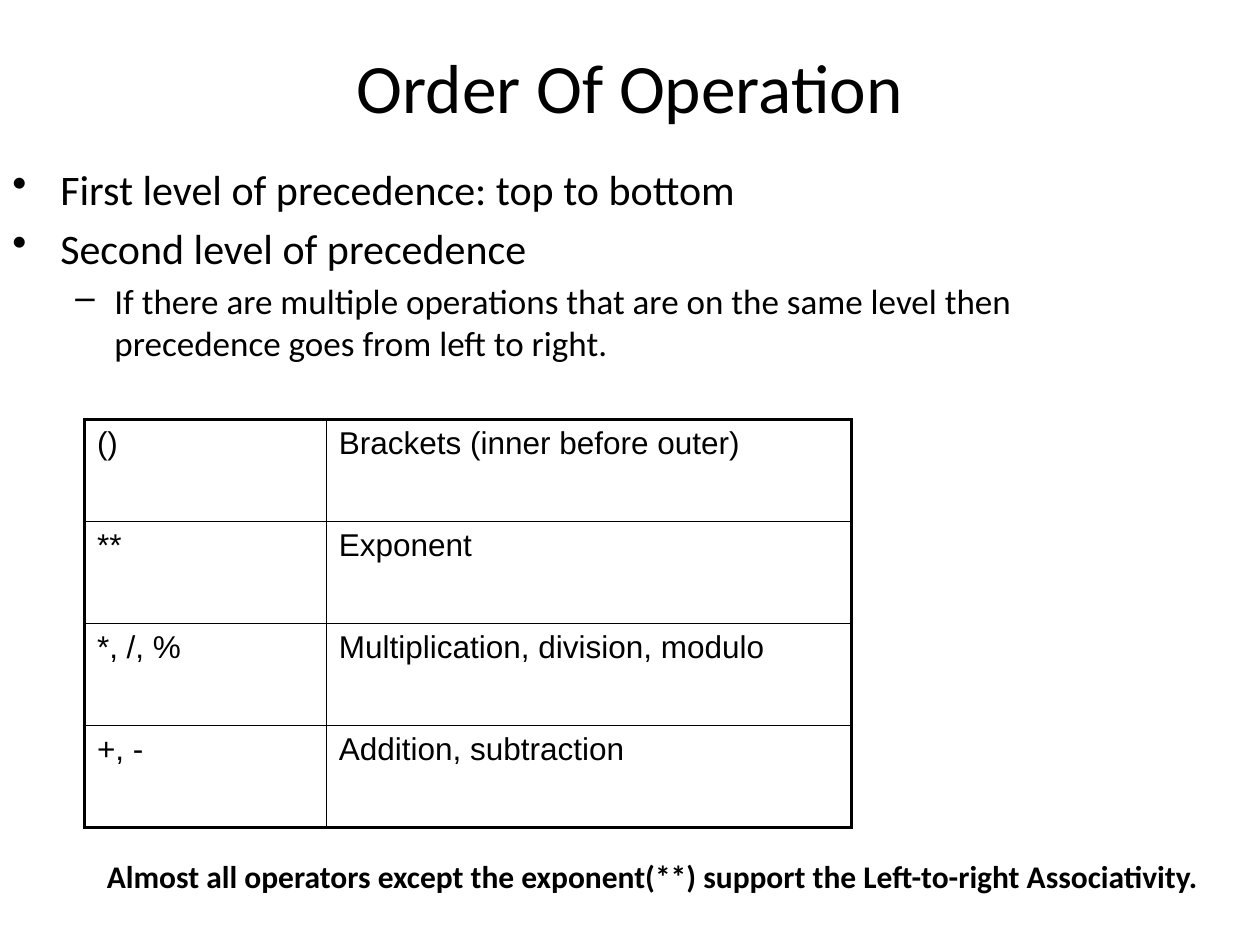
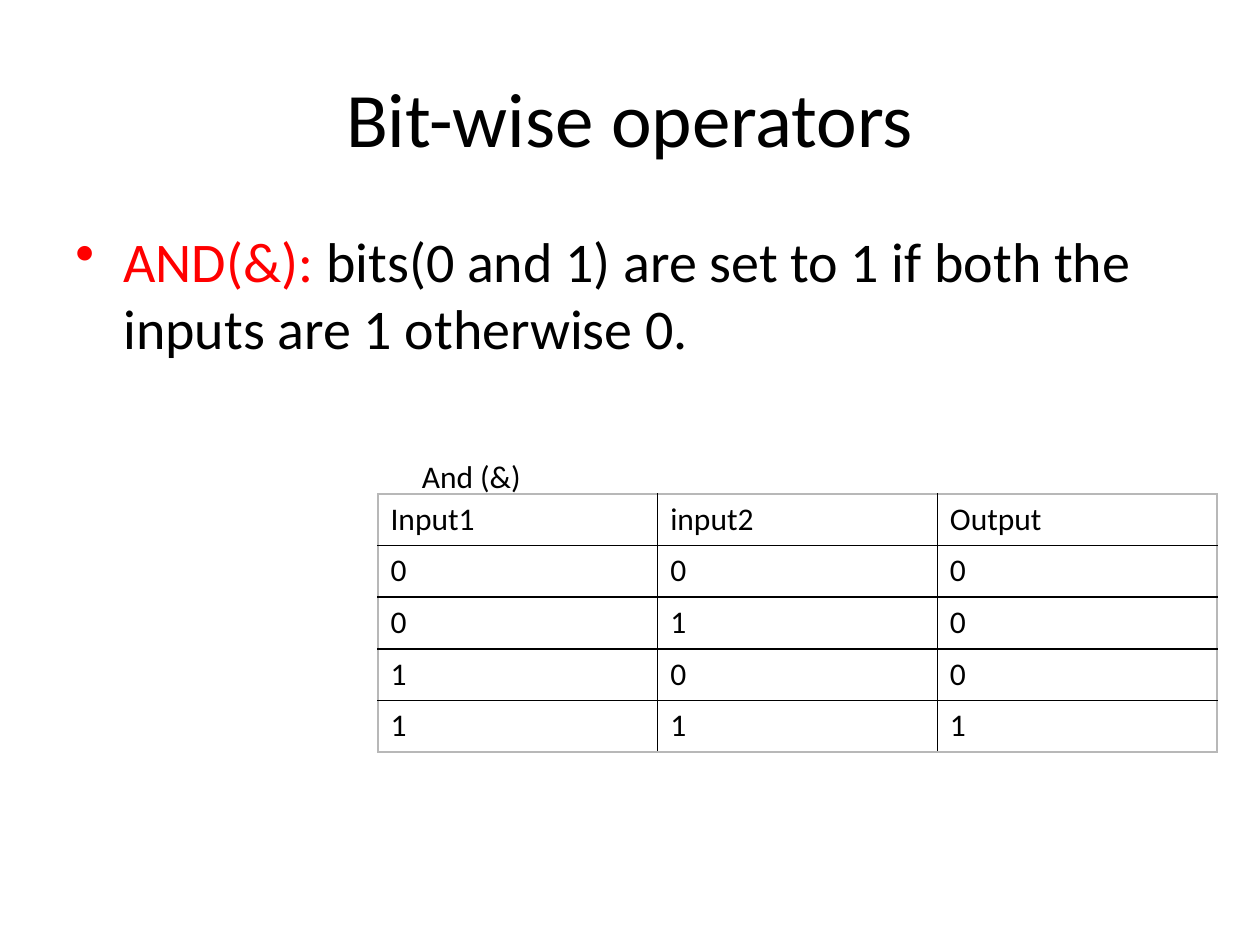
"""Build two slides on operator precedence and the bit-wise AND."""
from lxml import etree
from pptx import Presentation
from pptx import util as u
from pptx.dml.color import RGBColor
from pptx.enum import text
from pptx.oxml.ns import qn

BLACK = RGBColor(0, 0, 0)
RED = RGBColor(255, 0, 0)
GREY = RGBColor(0xB8, 0xB8, 0xB8)
BODY_FONT, TABLE_FONT = "Calibri", "Arial"
INNER_WIDTH = 1

PRECEDENCE_POINTS = [
    (0, [("First level of precedence: top to bottom", BLACK)], 24),
    (0, [("Second level of precedence", BLACK)], 24),
    (1, [("If there are multiple operations that are on the same level then "
          "precedence goes from left to right.", BLACK)], 20),
]
PRECEDENCE_ROWS = [
    ("()", "Brackets (inner before outer)"),
    ("**", "Exponent"),
    ("*, /, %", "Multiplication, division, modulo"),
    ("+, -", "Addition, subtraction"),
]
ASSOCIATIVITY = ("Almost all operators except the exponent(**) support the "
                 "Left-to-right Associativity.")
AND_POINTS = [
    (0, [("AND(&): ", RED),
         ("bits(0 and 1) are set to 1 if both the inputs are 1 otherwise 0.", BLACK)], 32),
]
AND_ROWS = [("Input1", "input2", "Output")] + [
    (str(a), str(b), str(a & b)) for a in (0, 1) for b in (0, 1)]

BULLETS = [("•", 0.38, 0.38), ("–", 0.81, 0.31)]


def style(paragraph, size, font=BODY_FONT, bold=False):
    paragraph.font.name = font
    paragraph.font.size = u.Pt(size)
    paragraph.font.bold = bold
    paragraph.font.color.rgb = BLACK


def add_box(page, place, wrap=True):
    box = page.shapes.add_textbox(*map(u.Inches, place))
    box.text_frame.word_wrap = wrap
    return box.text_frame


def add_title(page, wording, place, size):
    frame = add_box(page, place)
    frame.vertical_anchor = text.MSO_ANCHOR.MIDDLE
    para = frame.paragraphs[0]
    para.text = wording
    para.alignment = text.PP_ALIGN.CENTER
    style(para, size)


def add_points(page, points, place):
    frame = add_box(page, place)
    for index, (level, spans, size) in enumerate(points):
        para = frame.add_paragraph() if index else frame.paragraphs[0]
        para.level = level
        para.space_before = u.Pt(size * 0.2)
        style(para, size)
        mark, margin, hanging = BULLETS[level]
        settings = para._p.get_or_add_pPr()
        settings.set("marL", str(u.Inches(margin)))
        settings.set("indent", str(-u.Inches(hanging)))
        bullet = etree.Element(qn("a:buChar"), char=mark)
        settings.find(qn("a:defRPr")).addprevious(bullet)
        for wording, colour in spans:
            span = para.add_run()
            span.text = wording
            span.font.color.rgb = colour


def add_caption(page, wording, place, bold=False):
    frame = add_box(page, place, wrap=False)
    frame.auto_size = text.MSO_AUTO_SIZE.SHAPE_TO_FIT_TEXT
    para = frame.paragraphs[0]
    para.text = wording
    style(para, 18, bold=bold)


def add_border(cell, side, width, colour):
    line = etree.SubElement(cell._tc.get_or_add_tcPr(), qn(f"a:ln{side}"),
                            w=str(u.Pt(width)))
    fill = etree.SubElement(line, qn("a:solidFill"))
    etree.SubElement(fill, qn("a:srgbClr"), val=str(colour))


def add_grid(page, rows, corner, widths, row_height, font, edge):
    size = sum(widths), row_height * len(rows)
    table = page.shapes.add_table(len(rows), len(widths),
                                  *map(u.Inches, corner + size)).table
    table.first_row = table.horz_banding = False
    for column, width in zip(table.columns, widths):
        column.width = u.Inches(width)
    last_row, last_column = len(rows) - 1, len(widths) - 1
    for r, row in enumerate(rows):
        table.rows[r].height = u.Inches(row_height)
        for c, wording in enumerate(row):
            cell = table.cell(r, c)
            para = cell.text_frame.paragraphs[0]
            para.text = wording
            style(para, 18, font)
            sides = {"L": c == 0, "R": c == last_column,
                     "T": r == 0, "B": r == last_row}
            for side, outer in sides.items():
                add_border(cell, side, *(edge if outer else (INNER_WIDTH, BLACK)))
            cell.fill.background()


def build_precedence(page):
    add_title(page, "Order Of Operation", (0.5, 0.28, 9, 0.8), 39.6)
    add_grid(page, PRECEDENCE_ROWS, (0.67, 3.33), (1.92, 4.17), 0.81,
             TABLE_FONT, (2.25, BLACK))
    add_points(page, PRECEDENCE_POINTS, (0, 1.25, 8.92, 5.87))
    add_caption(page, ASSOCIATIVITY, (0.75, 6.75, 8.94, 0.4), bold=True)


def build_bitwise(page):
    add_title(page, "Bit-wise operators", (0.5, 0.3, 9, 1.25), 44)
    add_points(page, AND_POINTS, (0.5, 1.75, 9, 4.95))
    add_grid(page, AND_ROWS, (3, 3.92), (2.22,) * 3, 0.41,
             BODY_FONT, (1, GREY))
    add_caption(page, "And (&)", (3.25, 3.58, 1, 0.4))


def main():
    deck = Presentation()
    deck.slide_width, deck.slide_height = u.Inches(10), u.Inches(7.5)
    for build in (build_precedence, build_bitwise):
        build(deck.slides.add_slide(deck.slide_layouts[6]))
    deck.save("out.pptx")


if __name__ == "__main__":
    main()
